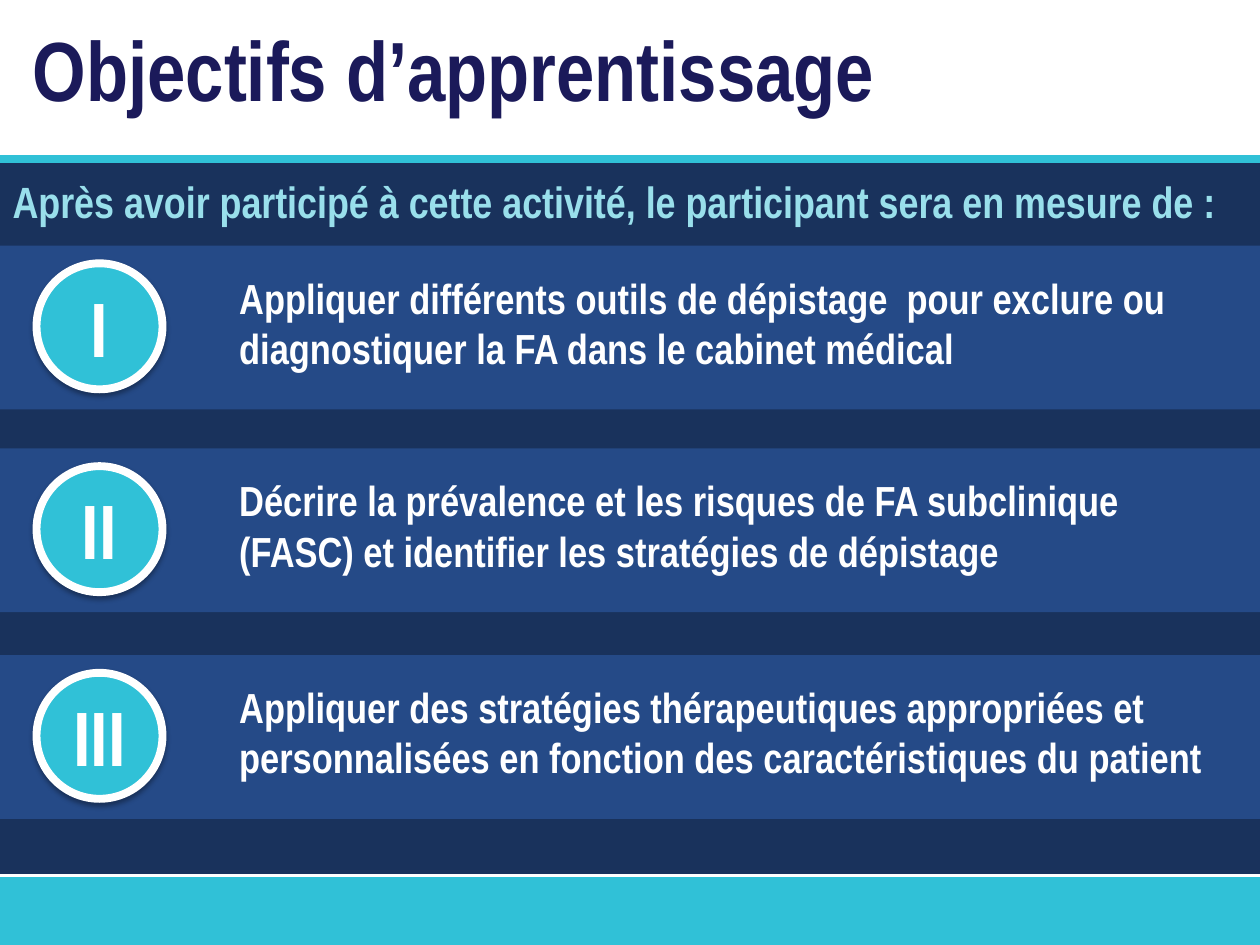
from pptx import Presentation
from pptx.dml.color import RGBColor
from pptx.enum.shapes import MSO_CONNECTOR, MSO_SHAPE
from pptx.enum.text import MSO_ANCHOR, MSO_AUTO_SIZE, PP_ALIGN
from pptx.oxml import parse_xml
from pptx.oxml.ns import nsdecls, qn
from pptx.oxml.xmlchemy import OxmlElement
from pptx.util import Inches, Pt

WHITE = RGBColor(0xFF, 0xFF, 0xFF)
NAVY = RGBColor(0x19, 0x32, 0x5C)
BLUE = RGBColor(0x25, 0x4A, 0x87)
CYAN = RGBColor(0x30, 0xC1, 0xD7)
PALE = RGBColor(0x99, 0xDF, 0xEB)
INDIGO = RGBColor(0x1B, 0x1A, 0x5A)
FONT = "Arial Narrow"
COLS, ROWS = 100, 75
SHADOW = (
    f'<a:outerShdw {nsdecls("a")} blurRad="{Pt(3.1)}" dist="{Pt(1.8)}" dir="5400000" rotWithShape="0">'
    '<a:srgbClr val="000000"><a:alpha val="35000"/></a:srgbClr></a:outerShdw>'
)

prs = Presentation()
prs.slide_width, prs.slide_height = Inches(10), Inches(7.5)
col, row = prs.slide_width / COLS, prs.slide_height / ROWS
slide = prs.slides.add_slide(prs.slide_layouts[1])
shapes = slide.shapes
title, body = shapes.title, slide.placeholders[1]


def add_block(kind, x, y, w, h, fill, shadow=False):
    sp = shapes.add_shape(kind, int(x * col), int(y * row), int(w * col), int(h * row))
    sp.fill.solid()
    sp.fill.fore_color.rgb = fill
    sp.line.fill.background()
    sp.shadow.inherit = False
    if shadow:
        sp._element.spPr.find(qn("a:effectLst")).append(parse_xml(SHADOW))
    return sp


def write(sp, text, size, color, align=PP_ALIGN.LEFT, anchor=MSO_ANCHOR.TOP):
    tf = sp.text_frame
    tf.word_wrap = True
    tf.auto_size = MSO_AUTO_SIZE.NONE
    tf.vertical_anchor = anchor
    p = tf.paragraphs[0]
    p.alignment = align
    p.space_before = Pt(0)
    r = p.add_run()
    r.text = text
    r.font.name, r.font.size, r.font.bold = FONT, Pt(size), True
    r.font.color.rgb = color
    return p


add_block(MSO_SHAPE.RECTANGLE, 0, 12.6, COLS, 57, NAVY)
add_block(MSO_SHAPE.RECTANGLE, 0, 69.6, COLS, 5.4, CYAN, shadow=True)

for y, color, width in ((12.6, CYAN, 4.5), (69.5, WHITE, 1.5)):
    rule = shapes.add_connector(MSO_CONNECTOR.STRAIGHT, 0, int(y * row), prs.slide_width, int(y * row))
    rule.line.color.rgb = color
    rule.line.width = Pt(width)
    rule._element.spPr.append(OxmlElement("a:effectLst"))

objectives = (
    (19.5, "I", "Appliquer différents outils de dépistage  pour exclure ou diagnostiquer la FA dans le cabinet médical"),
    (35.6, "II", "Décrire la prévalence et les risques de FA subclinique (FASC) et identifier les stratégies de dépistage"),
    (52, "III", "Appliquer des stratégies thérapeutiques appropriées et personnalisées en fonction des caractéristiques du patient"),
)
for y, numeral, text in objectives:
    add_block(MSO_SHAPE.RECTANGLE, 0, y, COLS, 13, BLUE)
    badge = add_block(MSO_SHAPE.FLOWCHART_CONNECTOR, 2.9, y + 1.4, 10, 10, CYAN, shadow=True)
    badge.line.color.rgb = WHITE
    badge.line.width = Pt(4.5)
    write(badge, numeral, 44, WHITE, PP_ALIGN.CENTER, MSO_ANCHOR.MIDDLE)
    badge.text_frame.word_wrap = False
    box = shapes.add_textbox(int(18 * col), int((y + 1.6) * row), int(79.1 * col), int(9.1 * row))
    write(box, text, 24, WHITE)

for sp, x, y, w, h in ((title, 1.6, 0.9, 88.2, 9.1), (body, 0, 13.4, COLS, 6)):
    sp.left, sp.top, sp.width, sp.height = int(x * col), int(y * row), int(w * col), int(h * row)
    shapes._spTree.append(sp._element)

write(title, "Objectifs d’apprentissage", 48, INDIGO)
p = write(body, "Après avoir participé à cette activité, le participant sera en mesure de :", 25, PALE)
pPr = p._p.get_or_add_pPr()
pPr.set("marL", "0")
pPr.set("indent", "0")
pPr.append(OxmlElement("a:buNone"))

prs.save("out.pptx")
